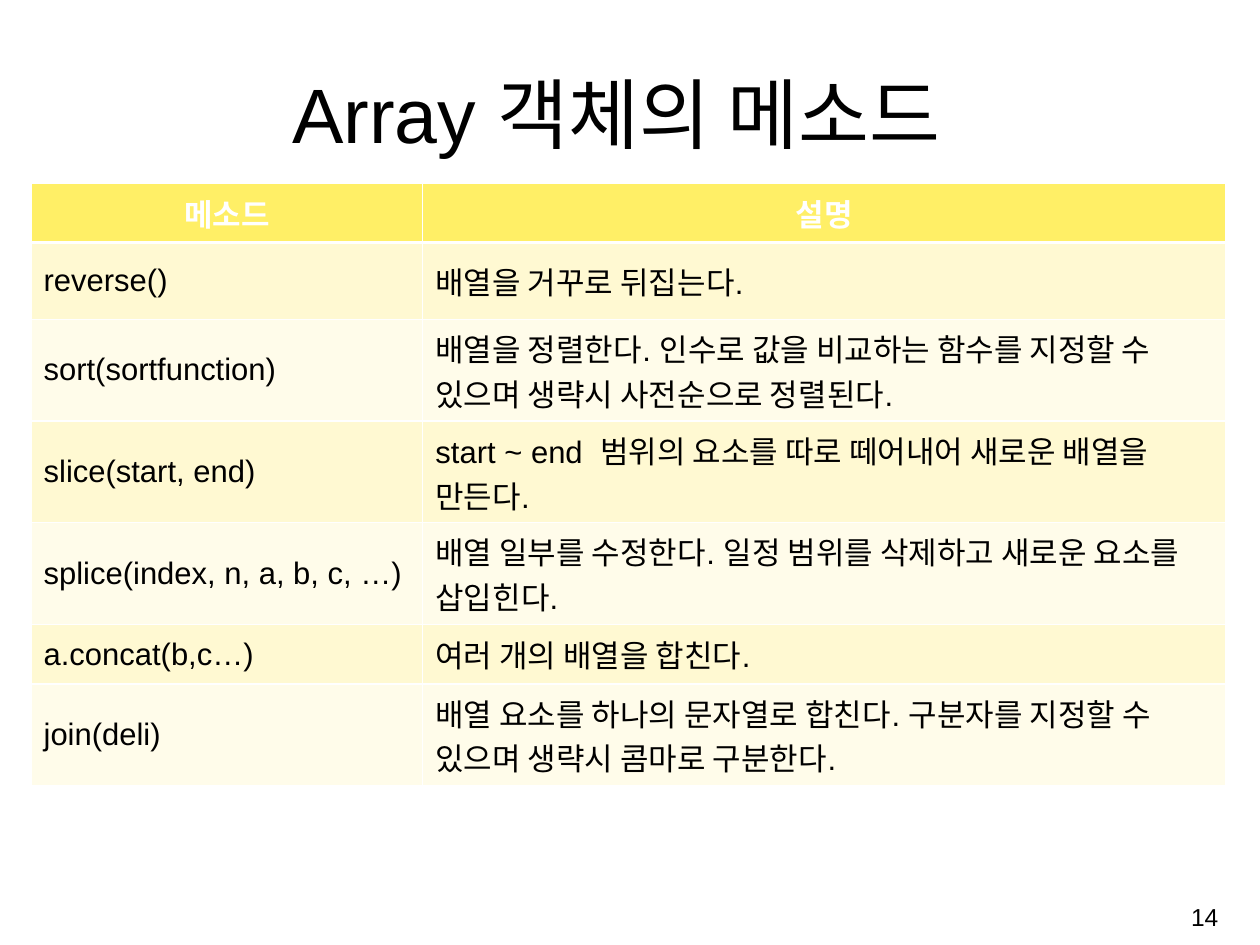
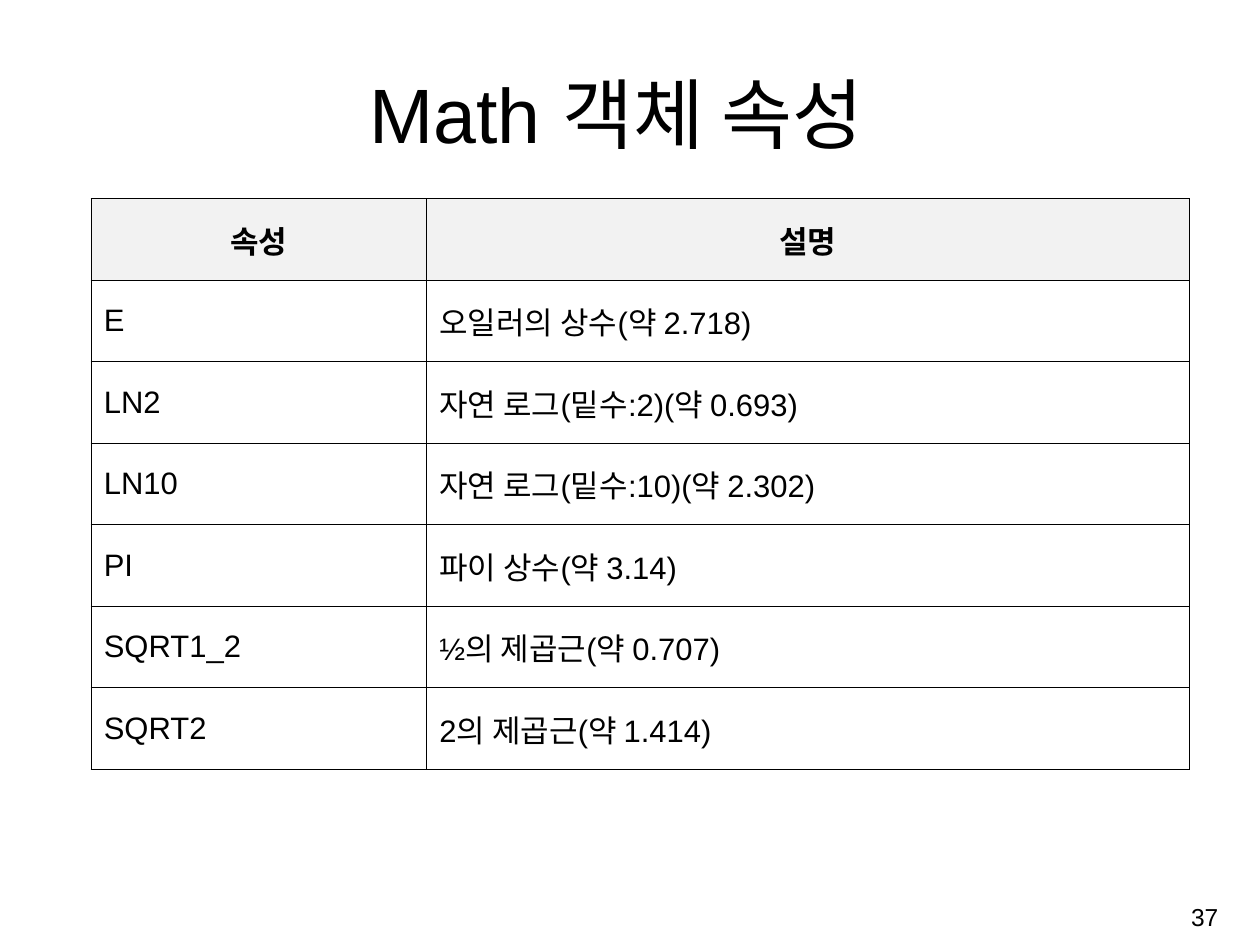
import pptx
import pptx.dml.color
import pptx.enum.text
import pptx.oxml
import pptx.oxml.ns
import pptx.util

Inches = pptx.util.Inches
Pt = pptx.util.Pt
RGBColor = pptx.dml.color.RGBColor
Align = pptx.enum.text.PP_ALIGN
Anchor = pptx.enum.text.MSO_ANCHOR

# Shared style
BLACK = RGBColor(0x00, 0x00, 0x00)
WHITE = RGBColor(0xFF, 0xFF, 0xFF)
YELLOW = RGBColor(0xFF, 0xEF, 0x66)
CREAM = RGBColor(0xFF, 0xF9, 0xD2)
IVORY = RGBColor(0xFF, 0xFC, 0xEA)
GRAY = RGBColor(0xF2, 0xF2, 0xF2)
FONT = "Arial"
TITLE_SIZE, TABLE_SIZE, NUMBER_SIZE = 57.2, 23, 18.2


def write_text(frame, text, size, color=BLACK, bold=False, align=Align.LEFT):
    """Write one formatted paragraph into a text frame."""
    para = frame.paragraphs[0]
    para.alignment = align
    span = para.add_run()
    span.text = text
    span.font.name = FONT
    span.font.size = Pt(size)
    span.font.bold = bold
    span.font.color.rgb = color


def set_borders(cell, color, widths):
    """Draw the cell edges; widths maps L, R, T and B to points."""
    properties = cell._tc.get_or_add_tcPr()
    for index, side in enumerate("LRTB"):
        properties.insert(index, pptx.oxml.parse_xml(
            f'<a:ln{side} {pptx.oxml.ns.nsdecls("a")} w="{Pt(widths[side])}">'
            f'<a:solidFill><a:srgbClr val="{color}"/></a:solidFill></a:ln{side}>'))


class Deck:
    def __init__(self):
        self.deck = pptx.Presentation()
        self.deck.slide_width = Inches(12.99)
        self.deck.slide_height = Inches(9.74)
        self.page = None

    def add_page(self, title, number):
        self.page = self.deck.slides.add_slide(self.deck.slide_layouts[6])
        self.add_text(title, 1.05, 0.61, 10.61, 1.08, Anchor.BOTTOM,
                      size=TITLE_SIZE, align=Align.CENTER)
        self.add_text(number, 9.98, 9.15, 2.68, 0.6, Anchor.MIDDLE,
                      size=NUMBER_SIZE, align=Align.RIGHT)

    def add_text(self, text, left, top, width, height, anchor, **style):
        box = self.page.shapes.add_textbox(
            Inches(left), Inches(top), Inches(width), Inches(height))
        box.text_frame.word_wrap = True
        box.text_frame.vertical_anchor = anchor
        write_text(box.text_frame, text, **style)

    def add_table(self, rows, left, top, widths, heights, head_fill,
                  head_color, body_fills, line_color, head_line=1):
        """The first row is the head; body rows cycle through body_fills."""
        table = self.page.shapes.add_table(
            len(rows), len(widths), Inches(left), Inches(top),
            Inches(sum(widths)), Inches(sum(heights))).table
        table.horz_banding = False
        for column, width in zip(table.columns, widths):
            column.width = Inches(width)
        for row, height in zip(table.rows, heights):
            row.height = Inches(height)
        for row_index, texts in enumerate(rows):
            head = row_index == 0
            fill = head_fill if head else body_fills[(row_index - 1) % len(body_fills)]
            edges = {"L": 1, "R": 1,
                     "T": head_line if row_index == 1 else 1,
                     "B": head_line if head else 1}
            for column_index, text in enumerate(texts):
                cell = table.cell(row_index, column_index)
                cell.margin_left = cell.margin_right = Inches(0.13)
                cell.margin_top = cell.margin_bottom = Inches(0.06)
                cell.vertical_anchor = Anchor.MIDDLE
                cell.fill.solid()
                cell.fill.fore_color.rgb = fill
                set_borders(cell, line_color, edges)
                write_text(cell.text_frame, text, TABLE_SIZE, bold=head,
                           color=head_color if head else BLACK,
                           align=Align.CENTER if head else Align.LEFT)


ARRAY_METHODS = [
    ("메소드", "설명"),
    ("reverse()", "배열을 거꾸로 뒤집는다."),
    ("sort(sortfunction)",
     "배열을 정렬한다. 인수로 값을 비교하는 함수를 지정할 수 있으며 생략시 사전순으로 정렬된다."),
    ("slice(start, end)",
     "start ~ end  범위의 요소를 따로 떼어내어 새로운 배열을 만든다."),
    ("splice(index, n, a, b, c, …)",
     "배열 일부를 수정한다. 일정 범위를 삭제하고 새로운 요소를 삽입힌다."),
    ("a.concat(b,c…)", "여러 개의 배열을 합친다."),
    ("join(deli)",
     "배열 요소를 하나의 문자열로 합친다. 구분자를 지정할 수 있으며 생략시 콤마로 구분한다."),
]

MATH_PROPERTIES = [
    ("속성", "설명"),
    ("E", "오일러의 상수(약 2.718)"),
    ("LN2", "자연 로그(밑수:2)(약 0.693)"),
    ("LN10", "자연 로그(밑수:10)(약 2.302)"),
    ("PI", "파이 상수(약 3.14)"),
    ("SQRT1_2", "½의 제곱근(약 0.707)"),
    ("SQRT2", "2의 제곱근(약 1.414)"),
]


def main():
    slides = Deck()

    # Array methods
    slides.add_page("Array 객체의 메소드", "14")
    slides.add_table(ARRAY_METHODS, 0.32, 1.89, widths=[4.04, 8.28],
                     heights=[0.61, 0.79, 1.05, 1.05, 1.05, 0.61, 1.05],
                     head_fill=YELLOW, head_color=WHITE,
                     body_fills=[CREAM, IVORY], line_color=WHITE, head_line=3)

    # Math properties
    slides.add_page("Math 객체 속성", "37")
    slides.add_table(MATH_PROPERTIES, 0.94, 2.05, widths=[3.46, 7.86],
                     heights=[0.84] * len(MATH_PROPERTIES),
                     head_fill=GRAY, head_color=BLACK,
                     body_fills=[WHITE], line_color=BLACK)

    slides.deck.save("out.pptx")


if __name__ == "__main__":
    main()
